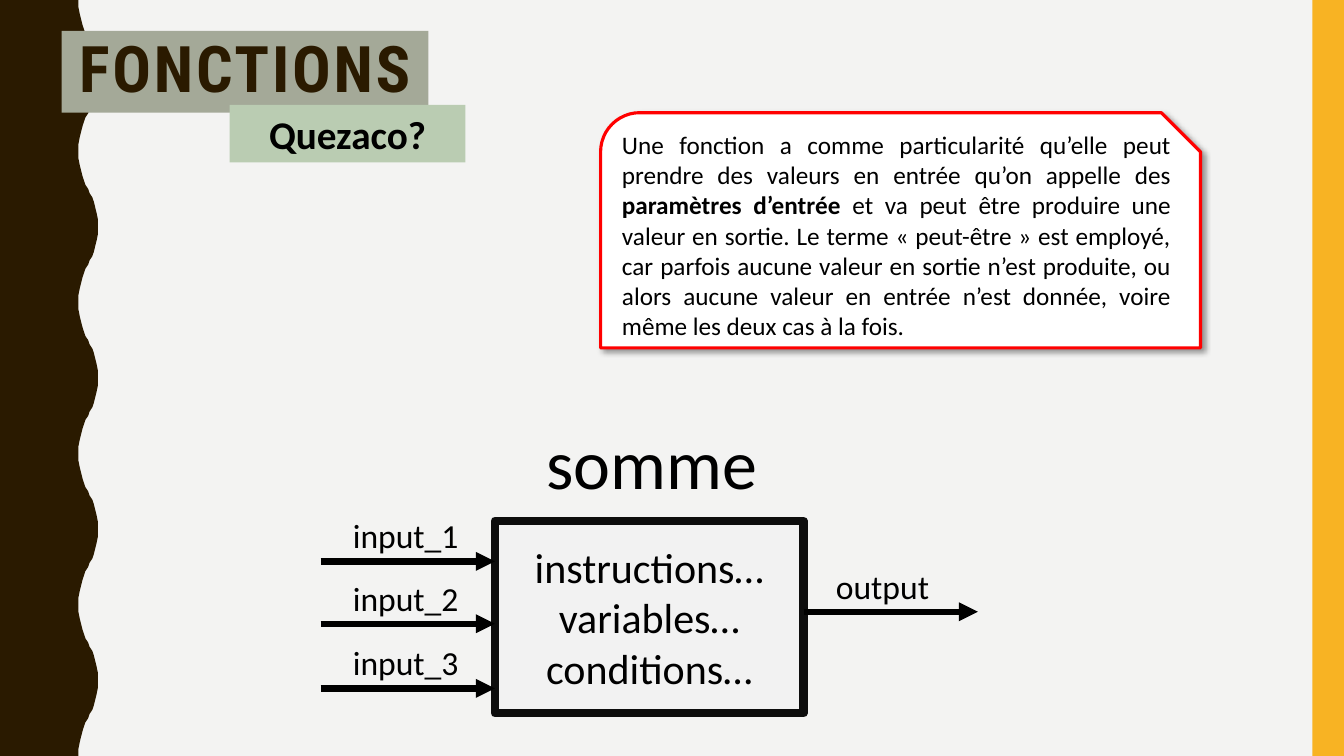
from lxml.etree import SubElement
from pptx import Presentation
from pptx.dml.color import RGBColor
from pptx.enum.shapes import MSO_CONNECTOR, MSO_SHAPE
from pptx.enum.text import MSO_ANCHOR, MSO_AUTO_SIZE, PP_ALIGN
from pptx.oxml.ns import qn
from pptx.util import Pt

HUES = {
    "back": "F3F3F2", "wave": "2A1A00", "bar": "F8B323", "title": "A4A998",
    "tag": "BACCB2", "note": "FFFFFF", "edge": "FF0000", "box": "F2F2F2",
    "rim": "0D0D0D", "ink": "000000",
}
WIDE, HIGH = 960, 540
# Edge of the wave, from trough to crest, as (x, y)
RISE = [(56, 0), (56.3, 5), (56.9, 10), (57.8, 14.4), (58.7, 18),
        (59.8, 21), (61.2, 24), (62.8, 27), (64.1, 30), (65.5, 33),
        (66.8, 36), (68.2, 39.6), (69.3, 44), (69.8, 49), (70, 54)]
BUMP = 108


def hue(name):
    return RGBColor.from_string(HUES[name])


def place(box):
    return [Pt(n) for n in box]


def paint(shape, fill, line=None, width=0):
    shape.shadow.inherit = False
    shape.fill.solid()
    shape.fill.fore_color.rgb = hue(fill)
    if line:
        shape.line.color.rgb = hue(line)
        shape.line.width = Pt(width)
    else:
        shape.line.fill.background()


def write(shape, paras, size, align=PP_ALIGN.LEFT, anchor=MSO_ANCHOR.TOP,
          font="Calibri", ink="ink"):
    """Fill a shape with paragraphs, each a list of (words, bold) runs."""
    frame = shape.text_frame
    frame.word_wrap = True
    frame.auto_size = MSO_AUTO_SIZE.NONE
    frame.vertical_anchor = anchor
    for i, runs in enumerate(paras):
        para = frame.add_paragraph() if i else frame.paragraphs[0]
        para.alignment = align
        for words, bold in runs:
            run = para.add_run()
            run.text = words
            run.font.name, run.font.size = font, Pt(size)
            run.font.bold = bold
            run.font.color.rgb = hue(ink)


def label(shapes, words, box, size):
    write(shapes.add_textbox(*place(box)), [[(words, False)]], size)


def block(shapes, kind, box, *look):
    shape = shapes.add_shape(kind, *place(box))
    paint(shape, *look)
    return shape


def frame_slide(shapes):
    """Draw the wavy left edge and the right bar."""
    edge = []
    for top in range(0, HIGH, BUMP):
        edge += [(x, top + y) for x, y in RISE]
        edge += [(x, top + BUMP - y) for x, y in reversed(RISE[:-1])]
    pen = shapes.build_freeform(0, 0, scale=Pt(1))
    pen.add_line_segments(edge + [(0, HIGH)], close=True)
    paint(pen.convert_to_shape(), "wave")
    block(shapes, MSO_SHAPE.RECTANGLE, (937.5, 0, WIDE - 937.5, HIGH), "bar")


def heading(shapes, box):
    left, top, wide, high = box
    title = shapes.title
    title.left, title.top, title.width, title.height = place(box)
    paint(title, "title")
    write(title, [[("FONCTIONS", True)]], 45.9, PP_ALIGN.CENTER,
          MSO_ANCHOR.MIDDLE, "Roboto Condensed", "wave")
    para = title.text_frame.paragraphs[0]
    para.line_spacing = 0.9
    para.runs[0].font._element.set("spc", "200")
    shapes._spTree.append(title._element)  # in front of the wave
    tag = block(shapes, MSO_SHAPE.RECTANGLE,
                (left + 120, top + high - 5.5, 168.5, 41), "tag")
    write(tag, [[("Quezaco?", True)]], 28, PP_ALIGN.CENTER, MSO_ANCHOR.MIDDLE)


def shade(shape):
    """Cast a soft shadow to the lower right."""
    effects = shape._element.spPr.find(qn("a:effectLst"))
    cast = SubElement(effects, qn("a:outerShdw"), blurRad=str(Pt(4)),
                      dist=str(Pt(3)), dir="2700000", algn="tl", rotWithShape="0")
    tint = SubElement(cast, qn("a:srgbClr"), val=HUES["ink"])
    SubElement(tint, qn("a:alpha"), val="40000")


def note(shapes, box):
    card = block(shapes, MSO_SHAPE.SNIP_ROUND_RECTANGLE, box, "note", "edge", 2.25)
    shade(card)
    write(card, [[
        ("Une fonction a comme particularité qu’elle peut prendre des valeurs "
         "en entrée qu’on appelle des ", False),
        ("paramètres d’entrée ", True),
        ("et va peut être produire une valeur en sortie. Le terme "
         "« peut-être » est employé, car parfois aucune valeur en sortie n’est "
         "produite, ou alors aucune valeur en entrée n’est donnée, voire même "
         "les deux cas à la fois.", False),
    ]], 18, PP_ALIGN.JUSTIFY)


def arrow(shapes, words, left, y):
    """Draw an arrow to the right with its label above."""
    line = shapes.add_connector(MSO_CONNECTOR.STRAIGHT,
                                *place((left, y, left + 124.5, y)))
    line.line.color.rgb = hue("ink")
    line.line.width = Pt(4.5)
    SubElement(line.line._get_or_add_ln(), qn("a:tailEnd"), type="triangle")
    SubElement(line._element.spPr, qn("a:effectLst"))
    label(shapes, words, (left + 16, y - 36.4, 108, 36), 24)


def scheme(shapes, box):
    """Draw the function as a box with inputs and an output."""
    left, top, wide, high = box
    core = block(shapes, MSO_SHAPE.RECTANGLE, box, "box", "rim", 6)
    lines = ("instructions…", "variables…", "conditions…")
    write(core, [[(words, False)] for words in lines], 30,
          PP_ALIGN.CENTER, MSO_ANCHOR.MIDDLE)
    label(shapes, "somme", (left + 29.5, top - 75.6, 213, 68), 50)
    for i, drop in enumerate((29, 73.5, 119.7), 1):
        arrow(shapes, f"input_{i}", left - 124.5, top + drop)
    arrow(shapes, "output", left + wide, top + 65)


def main():
    deck = Presentation()
    deck.slide_width, deck.slide_height = Pt(WIDE), Pt(HIGH)
    slide = deck.slides.add_slide(deck.slide_layouts[5])
    slide.background.fill.solid()
    slide.background.fill.fore_color.rgb = hue("back")
    shapes = slide.shapes
    frame_slide(shapes)
    heading(shapes, (44, 22, 262, 58.5))
    note(shapes, (429, 80.5, 428.5, 168))
    scheme(shapes, (353.5, 372, 220.5, 137.5))
    deck.save("out.pptx")


if __name__ == "__main__":
    main()
